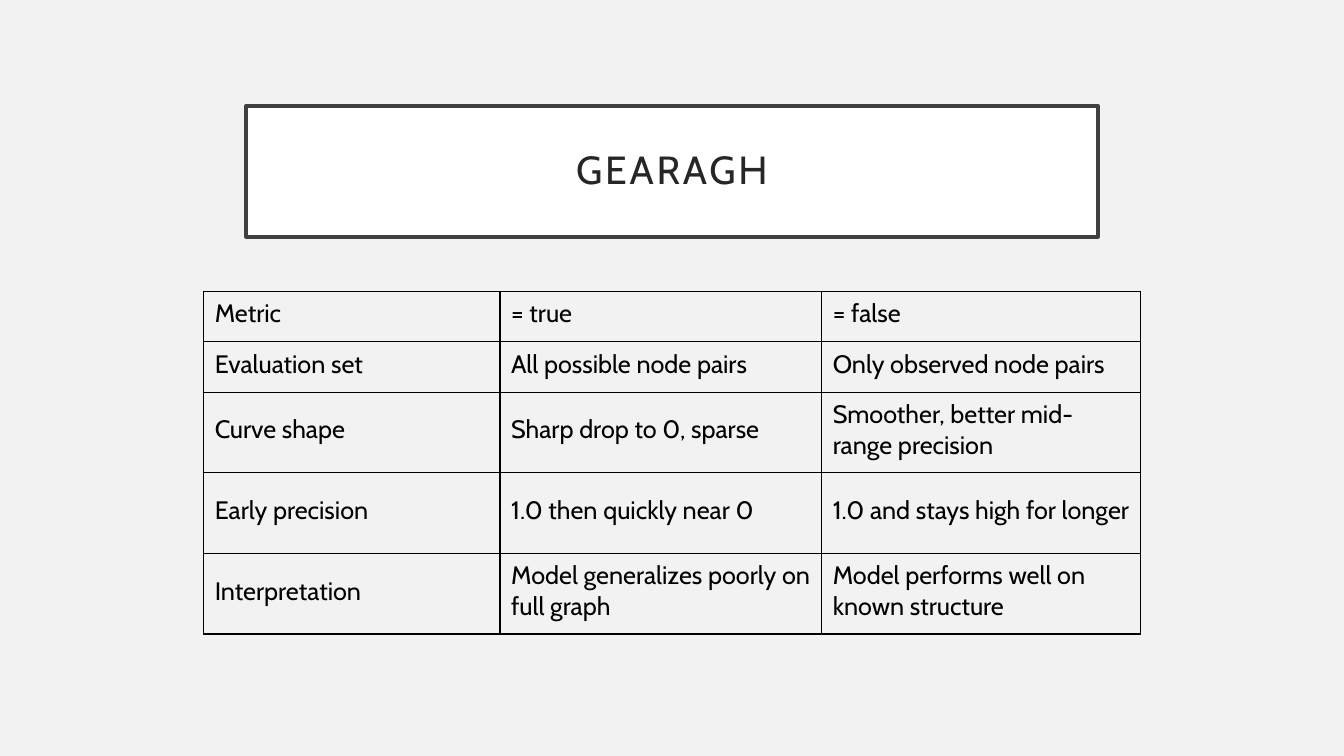
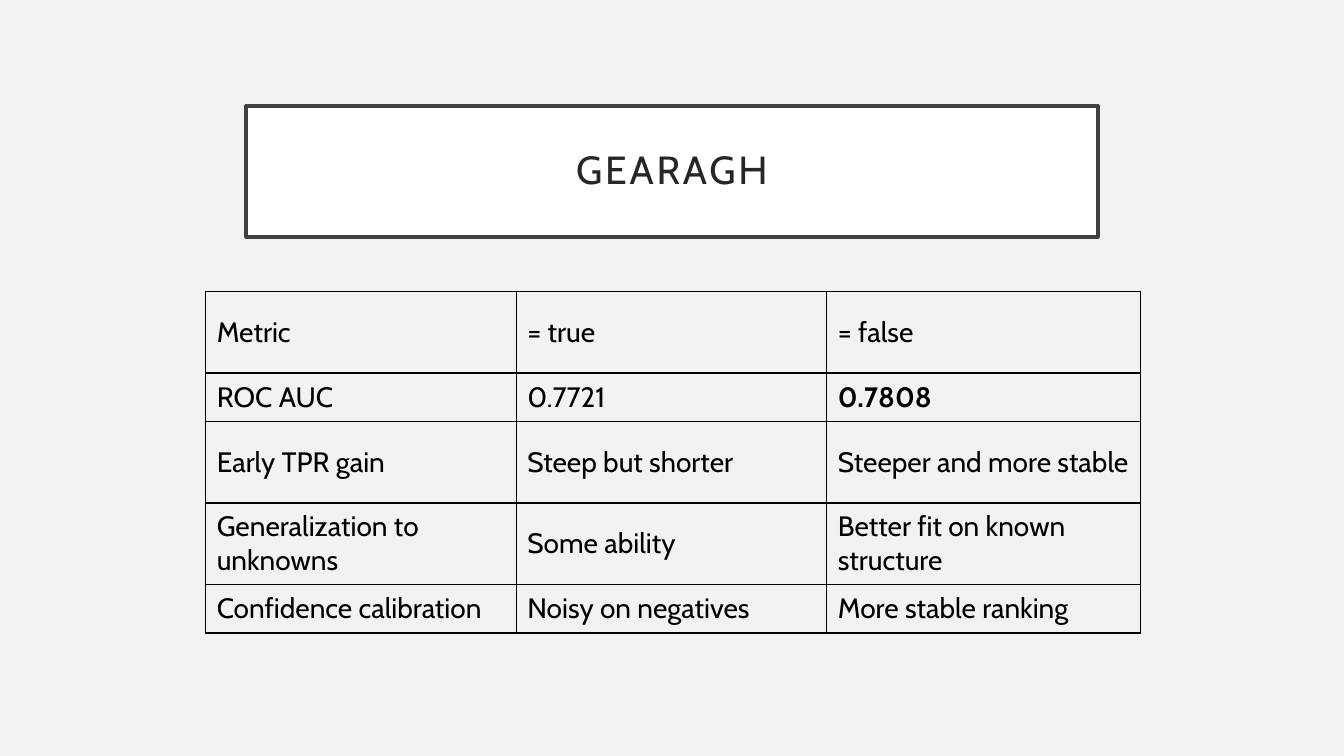
from pptx import Presentation
from pptx.dml.color import RGBColor
from pptx.enum.shapes import MSO_SHAPE as Shape
from pptx.enum.text import MSO_ANCHOR as Anchor, PP_ALIGN as Align
from pptx.oxml import parse_xml
from pptx.oxml.ns import nsdecls
from pptx.util import Inches, Pt

FONT = "Cabin"
BACKGROUND, WHITE, FRAME, TITLE_INK, BLACK = "F2F2F2", "FFFFFF", "404040", "262626", "000000"
TABLE_TOP = 2.89

SLIDES = [
    {
        "title": "GEARAGH",
        "left": 2.02,
        "columns": [2.94, 3.19, 3.16],
        "heights": [0.5, 0.5, 0.8, 0.8, 0.8],
        "size": 18,
        "margins": {"margin_left": 0.11, "margin_top": 0.06, "margin_right": 0.1, "margin_bottom": 0.11},
        "bold": [],
        "rows": [
            ["Metric", "= true", "= false"],
            ["Evaluation set", "All possible node pairs", "Only observed node pairs"],
            ["Curve shape", "Sharp drop to 0, sparse", "Smoother, better mid-range precision"],
            ["Early precision", "1.0 then quickly near 0", "1.0 and stays high for longer"],
            ["Interpretation", "Model generalizes poorly on full graph",
             "Model performs well on known structure"],
        ],
    },
    {
        "title": "GEARAGH",
        "left": 2.04,
        "columns": [3.08, 3.08, 3.11],
        "heights": [0.81, 0.48, 0.81, 0.81, 0.48],
        "size": 20,
        "margins": {"margin_left": 0.11, "margin_top": 0.05, "margin_right": 0.1, "margin_bottom": 0.05},
        "bold": ["0.7808"],
        "rows": [
            ["Metric", "= true", "= false"],
            ["ROC AUC", "0.7721", "0.7808"],
            ["Early TPR gain", "Steep but shorter", "Steeper and more stable"],
            ["Generalization to unknowns", "Some ability", "Better fit on known structure"],
            ["Confidence calibration", "Noisy on negatives", "More stable ranking"],
        ],
    },
]


def rgb(color):
    return RGBColor.from_string(color)


def write(para, text, size, color, bold=False):
    """Add one formatted run to the paragraph and return it."""
    span = para.add_run()
    span.text = text
    for name, value in {"name": FONT, "size": Pt(size), "bold": bold}.items():
        setattr(span.font, name, value)
    span.font.color.rgb = rgb(color)
    return span


deck = Presentation()
deck.slide_width, deck.slide_height = Inches(13.33), Inches(7.5)

for content in SLIDES:
    page = deck.slides.add_slide(deck.slide_layouts[6])
    page.background.fill.solid()
    page.background.fill.fore_color.rgb = rgb(BACKGROUND)

    # Framed title
    box = page.shapes.add_shape(Shape.RECTANGLE, Inches(2.44), Inches(1.05), Inches(8.45), Inches(1.3))
    box.shadow.inherit = False
    box.fill.solid()
    box.fill.fore_color.rgb = rgb(WHITE)
    box.line.color.rgb = rgb(FRAME)
    box.line.width = Pt(2.5)
    frame = box.text_frame
    frame.word_wrap = True
    frame.vertical_anchor = Anchor.MIDDLE
    for side in ("left", "top", "right", "bottom"):
        setattr(frame, f"margin_{side}", Inches(0.2))
    para = frame.paragraphs[0]
    para.alignment = Align.CENTER
    para.line_spacing = 0.9
    span = write(para, content["title"], 28, TITLE_INK)
    span.font._element.set("spc", "200")

    # Comparison table
    rows, columns, heights = content["rows"], content["columns"], content["heights"]
    table = page.shapes.add_table(
        len(rows), len(columns), Inches(content["left"]), Inches(TABLE_TOP),
        Inches(sum(columns)), Inches(sum(heights))).table
    table.first_row = table.horz_banding = False
    for column, width in zip(table.columns, columns):
        column.width = Inches(width)
    for row, height, texts in zip(table.rows, heights, rows):
        row.height = Inches(height)
        for cell, text in zip(row.cells, texts):
            cell.vertical_anchor = Anchor.MIDDLE
            for name, value in content["margins"].items():
                setattr(cell, name, Inches(value))
            for edge in ("lnL", "lnR", "lnT", "lnB"):
                cell._tc.get_or_add_tcPr().append(parse_xml(
                    f'<a:{edge} {nsdecls("a")} w="{Pt(1)}"><a:solidFill>'
                    f'<a:srgbClr val="{BLACK}"/></a:solidFill></a:{edge}>'))
            cell.fill.background()
            write(cell.text_frame.paragraphs[0], text, content["size"], BLACK, text in content["bold"])

deck.save("out.pptx")
